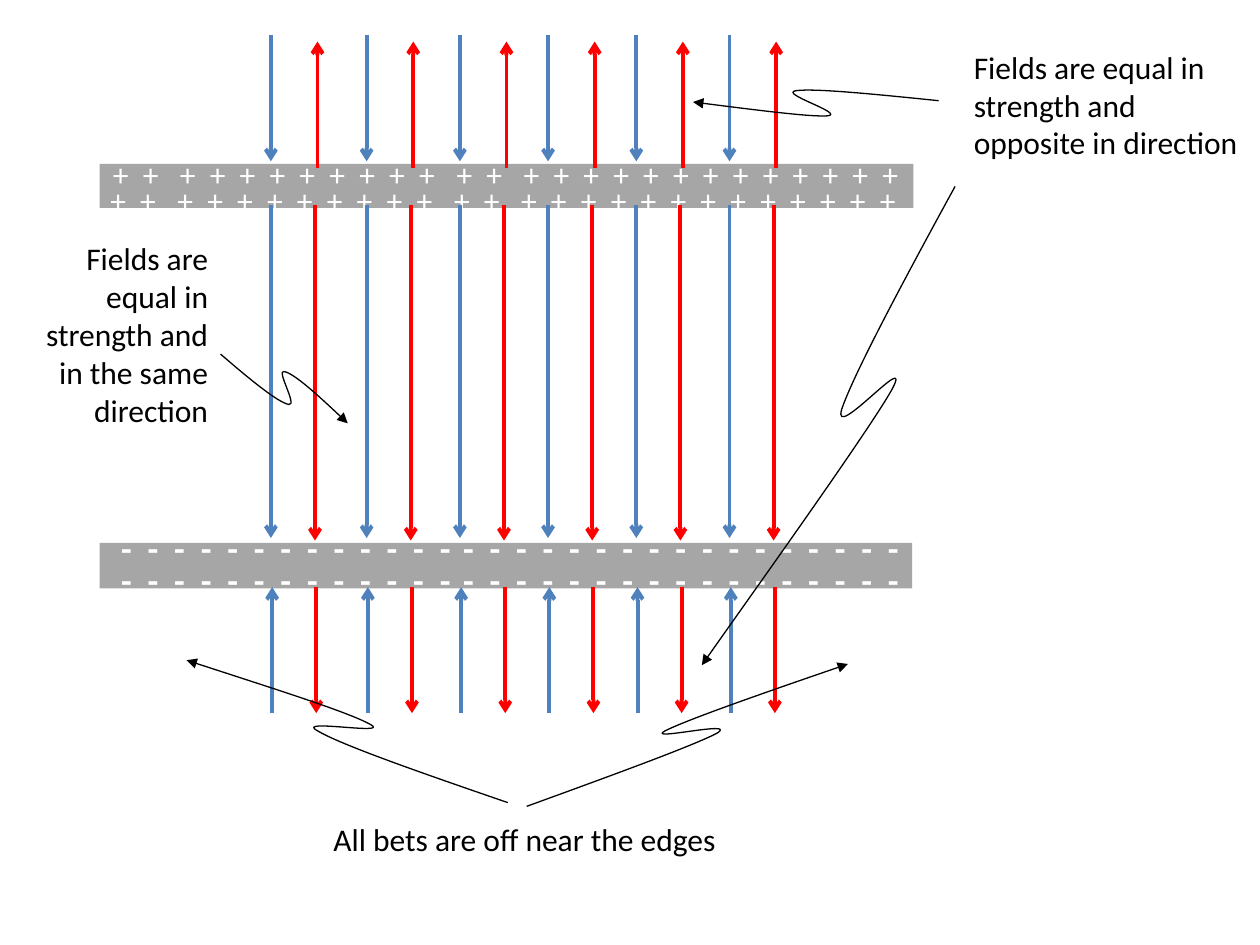
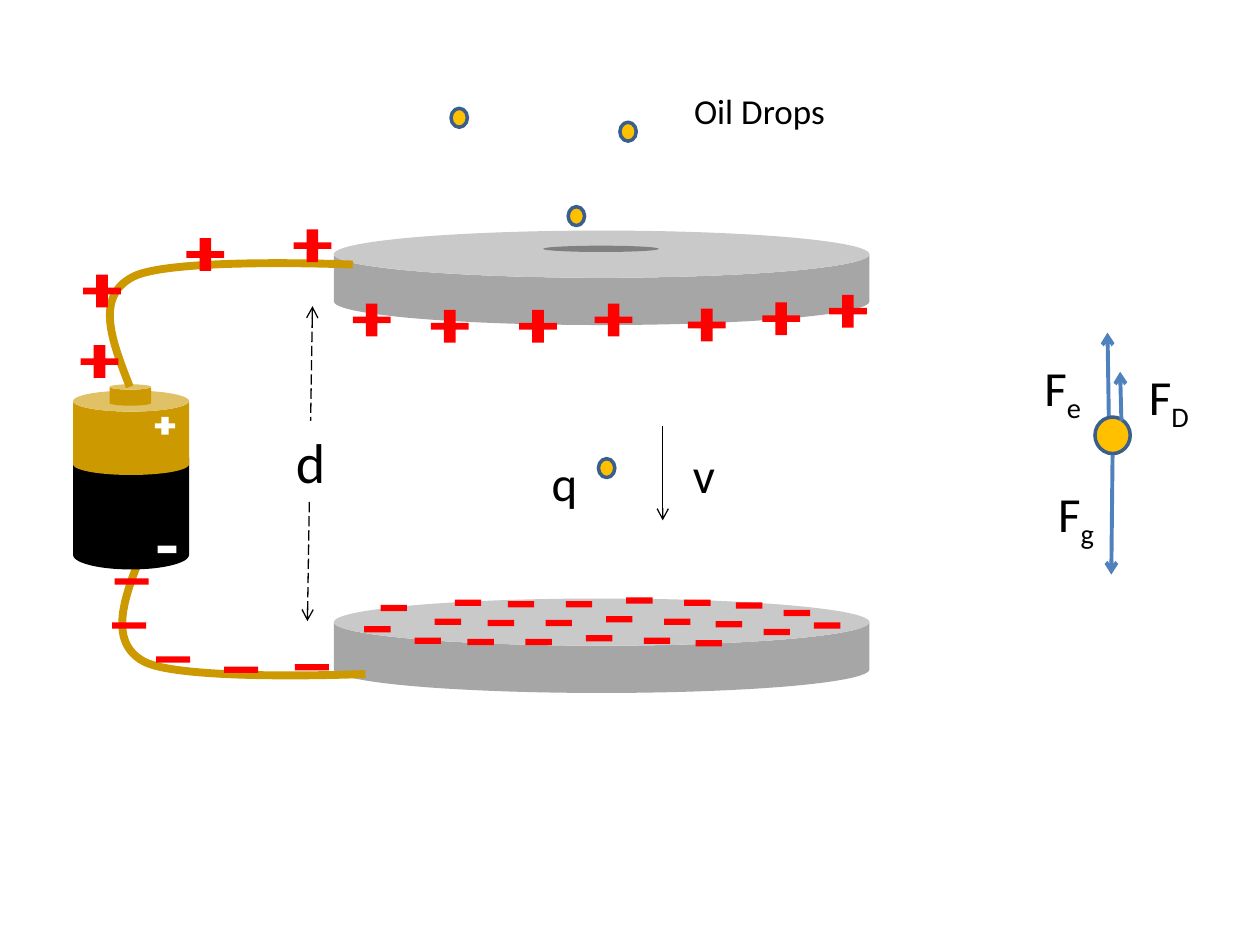
from lxml.etree import SubElement
from pptx import Presentation
from pptx.dml.color import RGBColor as RGB
from pptx.enum.dml import MSO_LINE as DASH
from pptx.enum.shapes import MSO_CONNECTOR as LINK, MSO_SHAPE as KIND
from pptx.enum.text import MSO_AUTO_SIZE as AUTO, PP_ALIGN as ALIGN
from pptx.oxml.ns import qn
from pptx.util import Inches, Pt

HEX = {
    "black": "000000", "white": "FFFFFF", "red": "FF0000", "blue": "4F81BD",
    "plate": "A6A6A6", "hole": "808080", "oil": "FFC000", "rim": "3A5F8C",
    "brass": "CC9900",
}
COLOR = {name: RGB.from_string(code) for name, code in HEX.items()}
FONT = "Calibri"


def form(page, kind, box, fill=None, rim=None, adj=None, runs=(), size=18,
         ink="black", bold=False, align=ALIGN.LEFT, wrap=True):
    """Add a preset shape, or a text box when kind is None."""
    spot = [Inches(v) for v in box]
    if kind is None:
        item = page.shapes.add_textbox(*spot)
    else:
        item = page.shapes.add_shape(kind, *spot)
        item.shadow.inherit = False
        if rim:
            item.line.color.rgb = COLOR[rim]
            item.line.width = Pt(2)
        else:
            item.line.fill.background()
    if fill:
        item.fill.solid()
        item.fill.fore_color.rgb = COLOR[fill]
    if adj is not None:
        item.adjustments[0] = adj
    if runs:
        frame = item.text_frame
        frame.word_wrap = wrap
        frame.auto_size = AUTO.SHAPE_TO_FIT_TEXT
        para = frame.paragraphs[0]
        para.alignment = align
        for text, extra in runs:
            run = para.add_run()
            run.text = text
            run.font.name, run.font.size, run.font.bold = FONT, Pt(size), bold
            run.font.color.rgb = COLOR[ink]
            for key, value in extra.items():
                run._r.get_or_add_rPr().set(key, str(value))


def stroke(page, dots, ink="black", width=0.75, head=None, tail=None, dash=None):
    """Join two dots by a connector, or draw cubic curves through more."""
    dots = [(Inches(x), Inches(y)) for x, y in dots]
    if len(dots) == 2:
        item = page.shapes.add_connector(LINK.STRAIGHT, *dots[0], *dots[1])
    else:
        pen = page.shapes.build_freeform(*dots[0])
        pen.add_line_segments(dots[1:], close=False)
        item = pen.convert_to_shape()
        item.fill.background()
        # Each three line steps hold the control points of one curve
        steps = list(item._element.iter(qn("a:lnTo")))
        route = steps[0].getparent()
        for i in range(0, len(steps), 3):
            curve = SubElement(route, qn("a:cubicBezTo"))
            for step in steps[i:i + 3]:
                curve.append(step[0])
                route.remove(step)
    item.line.color.rgb = COLOR[ink]
    item.line.width = Pt(width)
    if dash:
        item.line.dash_style = dash
    for tag, tip in (("a:headEnd", head), ("a:tailEnd", tail)):
        if tip:
            SubElement(item.line._get_or_add_ln(), qn(tag)).set("type", tip)
    SubElement(item._element.spPr, qn("a:effectLst"))


deck = Presentation()
deck.slide_width, deck.slide_height = Inches(10), Inches(7.5)
blank = deck.slide_layouts[6]

# Slide 1: fields around two charged plates
page = deck.slides.add_slide(blank)
form(page, KIND.RECTANGLE, (0.79, 1.3, 6.46, 0.35), "plate")
form(page, KIND.RECTANGLE, (0.79, 4.31, 6.45, 0.36), "plate")

# Rows of charges: sign, groups, size, letter spacing, spacing between groups
plus = ("+", (2, 9, 2, 13), 18, 203, 610)
minus = ("-", (13, 17), 20, 226, -226)
rows = [
    (plus, (0.71, 1.39, 6.57, 0.4)), (plus, (0.73, 1.18, 6.57, 0.4)),
    (minus, (0.82, 4.38, 6.46, 0.44)), (minus, (0.82, 4.13, 6.46, 0.44)),
]
for (sign, groups, size, near, far), box in rows:
    runs = []
    for count in groups:
        if runs:
            runs.append((" ", {"spc": far}))
        runs.append((" ".join(sign * count), {"spc": near}))
    form(page, None, box, runs=runs, size=size, ink="white",
         bold=sign == "-", align=ALIGN.CENTER)

# Field arrows: left edge, start, end, colour
cols = (0, 0.76, 1.5, 2.2, 2.9, 3.64)
fields = [
    (2.5, 1.63, 4.29, "red"), (2.52, 1.33, 0.33, "red"),
    (2.16, 5.66, 4.66, "blue"), (2.15, 0.28, 1.28, "blue"),
    (2.15, 1.63, 4.27, "blue"), (2.51, 4.66, 5.66, "red"),
]
for left, start, end, ink in fields:
    for col in cols:
        x = left + col
        stroke(page, [(x, start), (x, end)], ink, 2.25, tail="arrow")

# Notes
notes = [
    ("Fields are equal in strength and opposite in direction",
     (7.63, 0.33, 2.38, 1.01), ALIGN.LEFT),
    ("Fields are equal in strength and in the same direction",
     (0.2, 1.85, 1.55, 1.62), ALIGN.RIGHT),
    ("All bets are off near the edges", (2.53, 6.46, 3.25, 0.4), ALIGN.RIGHT),
]
for text, box, align in notes:
    form(page, None, box, runs=[(text, {})], align=align)

# Curly pointers from the notes
curls = [
    [(7.58, 1.48), (7.17, 2.23), (6.77, 2.98), (6.68, 3.25), (6.6, 3.52),
     (7.26, 2.75), (7.08, 3.09), (6.89, 3.43), (5.82, 4.92), (5.57, 5.28)],
    [(7.45, 0.8), (6.96, 0.75), (6.47, 0.7), (6.32, 0.72), (6.17, 0.74),
     (6.71, 0.9), (6.57, 0.92), (6.44, 0.93), (5.97, 0.87), (5.5, 0.81)],
    [(1.75, 2.81), (1.97, 3), (2.2, 3.19), (2.29, 3.21), (2.37, 3.23),
     (2.18, 2.92), (2.26, 2.95), (2.34, 2.97), (2.55, 3.16), (2.76, 3.36)],
    [(4.03, 6.37), (3.36, 6.14), (2.7, 5.91), (2.52, 5.8), (2.33, 5.7),
     (3.11, 5.84), (2.94, 5.75), (2.76, 5.65), (2.12, 5.45), (1.48, 5.24)],
    [(4.18, 6.4), (4.84, 6.16), (5.5, 5.92), (5.69, 5.82), (5.87, 5.71),
     (5.11, 5.89), (5.28, 5.8), (5.46, 5.71), (6.09, 5.49), (6.73, 5.27)],
]
for curl in curls:
    stroke(page, curl, tail="triangle")

# Slide 2: oil drop between the plates
page = deck.slides.add_slide(blank)
form(page, KIND.CAN, (2.65, 1.83, 4.25, 0.75), "plate", adj=0.5)
form(page, KIND.OVAL, (4.31, 1.95, 0.92, 0.05), "hole")
form(page, KIND.CAN, (2.65, 4.75, 4.25, 0.75), "plate", adj=0.5)

# Gap between the plates
stroke(page, [(2.48, 2.43), (2.44, 4.93)], head="arrow", tail="arrow",
       dash=DASH.LONG_DASH)

# Negative charges in slanted files: left, top, count
files = [
    (3.02, 4.8, 1), (2.89, 4.97, 1), (3.61, 4.76, 3), (4.03, 4.77, 3),
    (4.49, 4.77, 3), (4.97, 4.74, 3), (5.43, 4.76, 3), (5.84, 4.78, 3),
    (6.22, 4.84, 2), (6.46, 4.94, 1),
]
for x, y, count in files:
    for i in range(count):
        form(page, KIND.RECTANGLE, (x - 0.16 * i, y + 0.15 * i, 0.21, 0.05), "red")

# Battery and wires
stroke(page, [(1.13, 4.38), (0.99, 4.73), (0.85, 5.09), (1.14, 5.25),
              (1.44, 5.41), (2.9, 5.35), (2.9, 5.35)], "brass", 4.5)
form(page, KIND.CAN, (0.58, 3.52, 0.92, 1), "black")
form(page, KIND.CAN, (0.58, 3.1, 0.92, 0.67), "brass")
form(page, KIND.CAN, (0.87, 3.05, 0.33, 0.17), "brass")
form(page, KIND.CROSS, (1.23, 3.31, 0.16, 0.14), "white", adj=0.36)
form(page, KIND.RECTANGLE, (1.25, 4.33, 0.15, 0.06), "white")
stroke(page, [(1.03, 3.07), (0.89, 2.71), (0.75, 2.36), (1.05, 2.2),
              (1.34, 2.04), (2.8, 2.1), (2.8, 2.1)], "brass", 4.5)

# Positive charges on the upper plate and wire
for x, y in [(4.72, 2.41), (5.46, 2.45), (6.05, 2.4), (6.58, 2.34),
             (4.12, 2.46), (3.42, 2.46), (2.8, 2.41),
             (2.33, 1.82), (1.48, 1.89), (0.66, 2.18), (0.64, 2.74)]:
    form(page, KIND.CROSS, (x, y, 0.3, 0.26), "red", adj=0.4)

# Negative charges on the lower wire
for x, y in [(2.34, 5.27), (1.78, 5.29), (1.24, 5.21), (0.89, 4.94), (0.91, 4.59)]:
    form(page, KIND.RECTANGLE, (x, y, 0.27, 0.05), "red")

# Oil drops, then the drop of the force diagram
for x, y in [(4.75, 3.64), (4.92, 0.97), (3.58, 0.86), (4.51, 1.64)]:
    form(page, KIND.OVAL, (x, y, 0.13, 0.15), "oil", "rim")
form(page, KIND.OVAL, (8.69, 3.31, 0.28, 0.29), "oil", "rim")

# Velocity and forces
stroke(page, [(5.26, 3.38), (5.26, 4.13)], tail="arrow")
for force in [[(8.83, 3.61), (8.82, 4.56)], [(8.8, 3.3), (8.79, 2.64)],
              [(8.9, 3.34), (8.89, 2.95)]]:
    stroke(page, force, "blue", 2.25, tail="arrow")

# Labels: text, subscript, box, size, fill
labels = [
    ("d", "", (2.25, 3.34, 0.44, 0.64), 32, "white"),
    ("q", "", (4.28, 3.54, 0.41, 0.57), 28, None),
    ("v", "", (5.4, 3.48, 0.38, 0.57), 28, None),
    ("F", "g", (8.3, 3.79, 0.51, 0.57), 28, None),
    ("F", "e", (8.19, 2.79, 0.51, 0.57), 28, None),
    ("F", "D", (9.02, 2.86, 0.54, 0.57), 28, None),
    ("Oil Drops", "", (5.41, 0.66, 1.25, 0.44), 20, None),
]
for text, sub, box, size, fill in labels:
    runs = [(text, {})]
    if sub:
        runs.append((sub, {"baseline": -25000}))
    form(page, None, box, fill, runs=runs, size=size, wrap=False)

deck.save("out.pptx")
